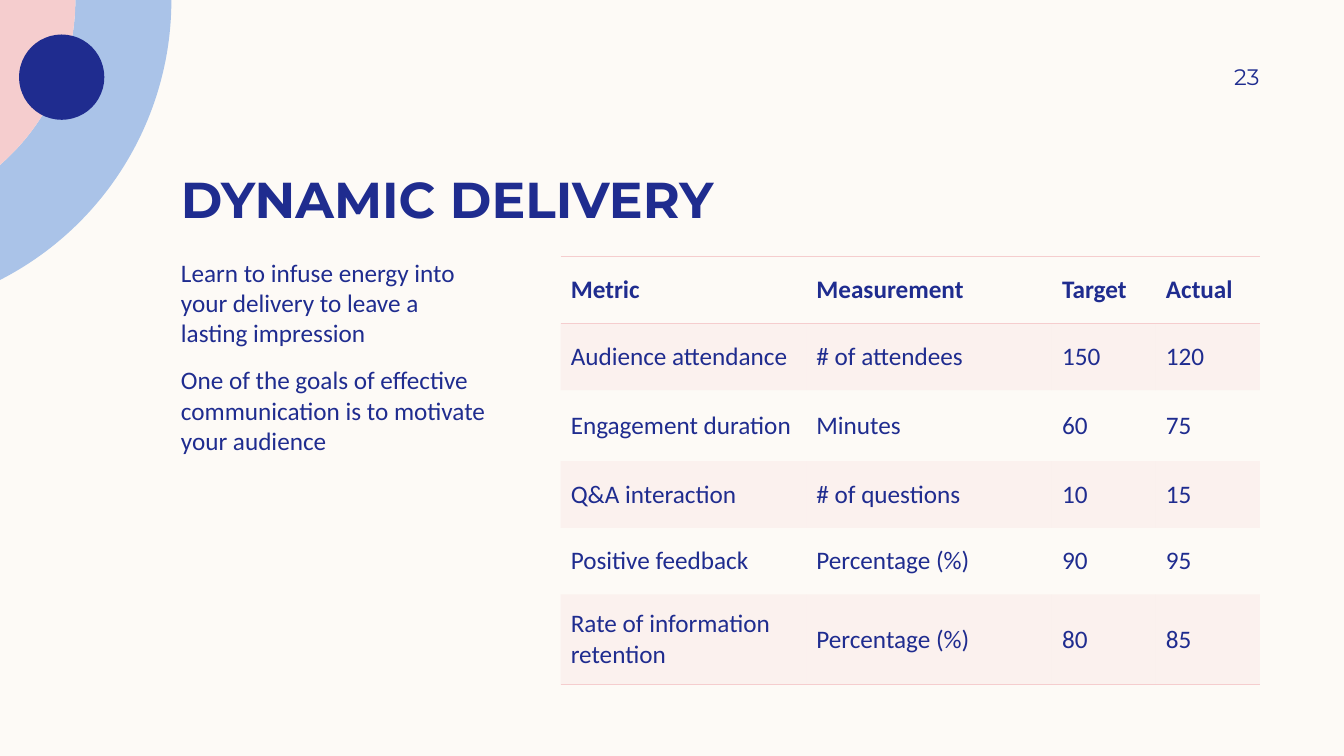
import math

from pptx import Presentation
from pptx import util as u
from pptx.dml.color import RGBColor
from pptx.enum import shapes, text
from pptx.oxml import parse_xml
from pptx.oxml.ns import nsdecls, qn

NAVY, BLUE, PINK, CREAM = "1F2C8F", "AAC3E8", "F5CDCE", "FDFAF6"
HEADING, BODY = "Montserrat", "Calibri"
NO_GRID_STYLE = "{2D5ABB26-0587-4C30-8999-92F81FD0307C}"


def color(code):
    return RGBColor.from_string(code)


def edge_arc(center_x, radius):
    """Bezier points of a circle from the top edge to the left edge of the page."""
    sweep = math.acos(-center_x / radius)
    reach = radius * 4 / 3 * math.tan(sweep / 4)
    end_y = radius * math.sin(sweep)
    return [(center_x + radius, 0), (center_x + radius, reach),
            (reach * math.sin(sweep), end_y - reach * math.cos(sweep)), (0, end_y)]


class Slide:
    """Holds the style and the current page."""

    def __init__(self, deck):
        self.page = deck.slides.add_slide(deck.slide_layouts[1])
        self.page.background.fill.solid()
        self.page.background.fill.fore_color.rgb = color(CREAM)

    def style(self, frame, size, font=BODY, bold=False, align=text.PP_ALIGN.LEFT):
        for para in frame.paragraphs:
            para.alignment = align
            for span in para.runs:
                span.font.size = u.Pt(size)
                span.font.name = font
                span.font.bold = bold
                span.font.color.rgb = color(NAVY)

    def place(self, box, left, top, width, height, anchor, margins):
        box.left, box.top = u.Cm(left), u.Cm(top)
        box.width, box.height = u.Cm(width), u.Cm(height)
        frame = box.text_frame
        frame.word_wrap = True
        frame.auto_size = text.MSO_AUTO_SIZE.NONE
        frame.vertical_anchor = anchor
        (frame.margin_left, frame.margin_top,
         frame.margin_right, frame.margin_bottom) = map(u.Cm, margins)
        return frame

    def paint(self, shape, fill):
        shape.shadow.inherit = False
        shape.fill.solid()
        shape.fill.fore_color.rgb = color(fill)
        shape.line.fill.background()

    def circle(self, left, top, size, fill):
        self.paint(self.page.shapes.add_shape(
            shapes.MSO_SHAPE.OVAL, u.Cm(left), u.Cm(top), u.Cm(size), u.Cm(size)), fill)

    def curved(self, points, curve_starts, fill):
        """Draw an outline; each curve start leads three points of one Bezier."""
        points = [(u.Cm(x), u.Cm(y)) for x, y in points]
        builder = self.page.shapes.build_freeform(*points[0])
        builder.add_line_segments(points[1:], close=True)
        shape = builder.convert_to_shape()
        outline = shape._element.find(".//" + qn("a:path"))
        steps = list(outline)
        for start in curve_starts:
            curve = parse_xml(f"<a:cubicBezTo {nsdecls('a')}/>")
            steps[start].addprevious(curve)
            for step in steps[start:start + 3]:
                curve.append(step[0])
                outline.remove(step)
        self.paint(shape, fill)

    def title(self, words, *area):
        frame = self.place(self.page.shapes.title, *area,
                           text.MSO_ANCHOR.BOTTOM, (0.25, 0, 0.25, 0))
        frame.text = words
        self.style(frame, 36, HEADING, bold=True)

    def body(self, lines, *area):
        frame = self.place(self.page.placeholders[1], *area,
                           text.MSO_ANCHOR.TOP, (0.25, 0, 0.25, 0))
        frame.text = "\n".join(lines)
        self.style(frame, 18)
        for para in frame.paragraphs:
            para.space_before, para.space_after = u.Pt(0), u.Pt(12)
            props = para._p.get_or_add_pPr()
            props.set("marL", "0")
            props.set("indent", "0")
            props.append(parse_xml(f"<a:buNone {nsdecls('a')}/>"))

    def number(self, words, *area):
        box = self.page.shapes.add_textbox(0, 0, 0, 0)
        frame = self.place(box, *area, text.MSO_ANCHOR.MIDDLE, (0.25, 0.13, 0, 0.13))
        frame.text = words
        self.style(frame, 16, HEADING, align=text.PP_ALIGN.RIGHT)

    def borders(self, cell, sides):
        props = cell._tc.get_or_add_tcPr()
        for position, side in enumerate(sides):
            props.insert(position, parse_xml(
                f'<a:{side} {nsdecls("a")} w="12700"><a:solidFill>'
                f'<a:srgbClr val="{PINK}"/></a:solidFill></a:{side}>'))

    def tint(self, cell):
        cell.fill.solid()
        cell.fill.fore_color.rgb = color(PINK)
        shade = cell._tc.tcPr.find(".//" + qn("a:srgbClr"))
        shade.append(parse_xml(f'<a:alpha {nsdecls("a")} val="20000"/>'))

    def table(self, rows, left, top, widths, heights):
        table = self.page.shapes.add_table(
            len(rows), len(widths), u.Cm(left), u.Cm(top),
            u.Cm(sum(widths)), u.Cm(sum(heights))).table
        table._tbl.tblPr.find(qn("a:tableStyleId")).text = NO_GRID_STYLE
        table.first_row = table.horz_banding = False
        for column, width in zip(table.columns, widths):
            column.width = u.Cm(width)
        for i, (row, height) in enumerate(zip(rows, heights)):
            table.rows[i].height = u.Cm(height)
            for j, words in enumerate(row):
                cell = table.cell(i, j)
                cell.text = words
                cell.vertical_anchor = text.MSO_ANCHOR.MIDDLE
                self.style(cell.text_frame, 18, bold=i == 0)
                if i % 2:
                    self.tint(cell)
                else:
                    cell.fill.background()
                if i == 0:
                    self.borders(cell, ["lnT", "lnB"])
                elif i == len(rows) - 1:
                    self.borders(cell, ["lnB"])


def main():
    deck = Presentation()
    deck.slide_width, deck.slide_height = u.Cm(33.87), u.Cm(19.05)
    slide = Slide(deck)

    # Corner decoration: a ring and a sector around one center, and a dot
    outer, inner = edge_arc(-3.6, 7.92), edge_arc(-3.6, 5.5)
    slide.curved([inner[0], *outer, *inner[::-1]], [2, 6], BLUE)
    slide.curved([(0, 0), *inner], [2], PINK)
    slide.circle(0.48, 0.87, 2.15, NAVY)

    # Title, text and page number
    slide.title("DYNAMIC DELIVERY", 4.31, 3.04, 27.43, 2.72)
    slide.body(["Learn to infuse energy into your delivery to leave a lasting impression",
                "One of the goals of effective communication is to motivate your audience"],
               4.31, 6.48, 8.26, 10.29)
    slide.number("23", 28.77, 1.27, 2.97, 1.32)

    # Metrics table
    slide.table([
        ["Metric", "Measurement", "Target", "Actual"],
        ["Audience attendance", "# of attendees", "150", "120"],
        ["Engagement duration", "Minutes", "60", "75"],
        ["Q&A interaction", "# of questions", "10", "15"],
        ["Positive feedback", "Percentage (%)", "90", "95"],
        ["Rate of information retention", "Percentage (%)", "80", "85"],
    ], 14.13, 6.47, [6.19, 6.19, 2.62, 2.62], [1.68, 1.68, 1.79, 1.68, 1.68, 2.27])

    deck.save("out.pptx")


if __name__ == "__main__":
    main()
